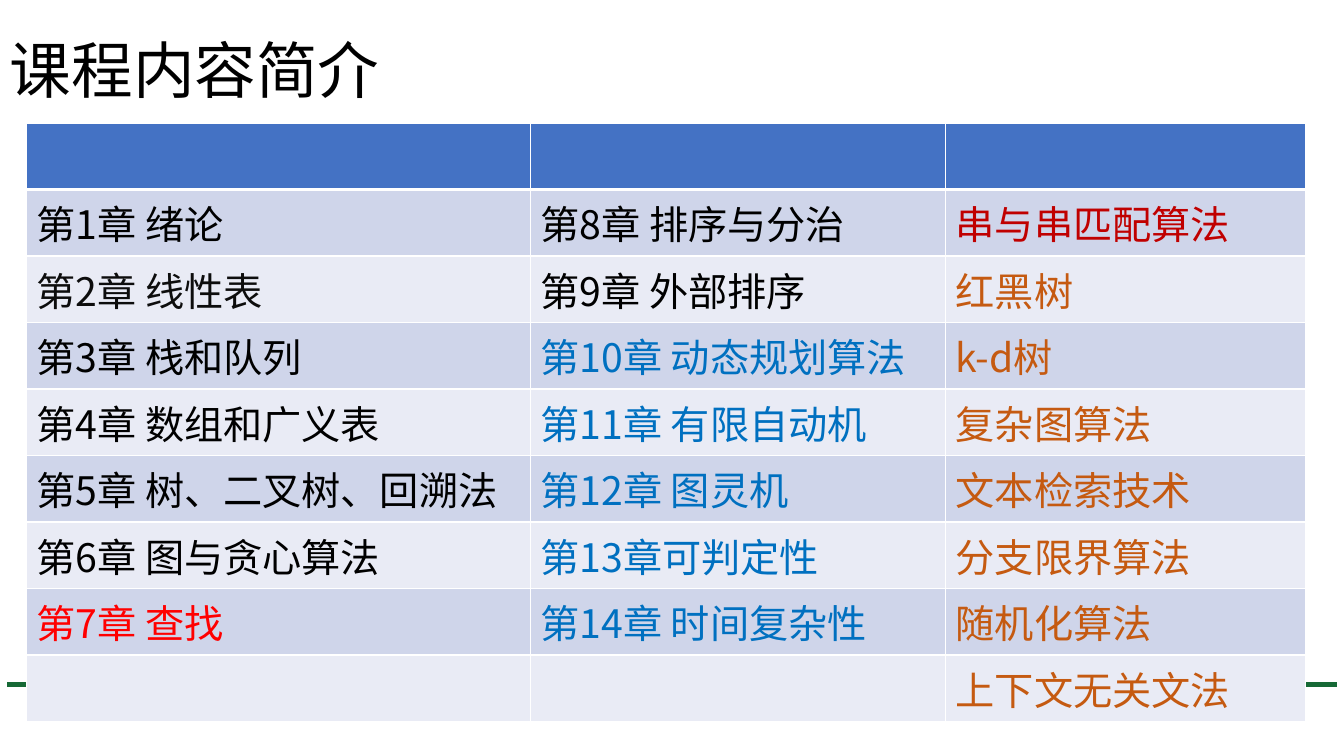
from dataclasses import dataclass

from lxml.etree import SubElement
from pptx import Presentation
from pptx.dml.color import RGBColor
from pptx.enum.shapes import MSO_CONNECTOR as Connector
from pptx.enum.text import MSO_ANCHOR as Anchor
from pptx.oxml.ns import qn
from pptx.util import Inches, Pt

FONT = "Noto Sans CJK SC"
WHITE = RGBColor(0xFF, 0xFF, 0xFF)
BLACK = RGBColor(0x00, 0x00, 0x00)
NEAR_BLACK = RGBColor(0x0D, 0x0D, 0x0D)
RED = RGBColor(0xFF, 0x00, 0x00)
DARK_RED = RGBColor(0xC0, 0x00, 0x00)
BLUE = RGBColor(0x00, 0x70, 0xC0)
ORANGE = RGBColor(0xC5, 0x5A, 0x11)
GREEN = RGBColor(0x16, 0x69, 0x36)
HEADER_FILL = RGBColor(0x44, 0x72, 0xC4)
BAND_FILLS = (RGBColor(0xCF, 0xD5, 0xEA), RGBColor(0xE9, 0xEB, 0xF5))

ROW_COUNT = 9
ROW_HEIGHT = 0.66


@dataclass
class Topic:
    text: str
    color: RGBColor = BLACK


@dataclass
class Column:
    width: float
    topics: list[Topic]


COLUMNS = [
    Column(5, [
        Topic("第1章 绪论"),
        Topic("第2章 线性表", NEAR_BLACK),
        Topic("第3章 栈和队列"),
        Topic("第4章 数组和广义表"),
        Topic("第5章 树、二叉树、回溯法"),
        Topic("第6章 图与贪心算法"),
        Topic("第7章 查找", RED),
    ]),
    Column(4.12, [
        Topic("第8章 排序与分治"),
        Topic("第9章 外部排序"),
        Topic("第10章 动态规划算法", BLUE),
        Topic("第11章 有限自动机", BLUE),
        Topic("第12章 图灵机", BLUE),
        Topic("第13章可判定性", BLUE),
        Topic("第14章 时间复杂性", BLUE),
    ]),
    Column(3.57, [
        Topic("串与串匹配算法", DARK_RED),
        Topic("红黑树", ORANGE),
        Topic("k-d树", ORANGE),
        Topic("复杂图算法", ORANGE),
        Topic("文本检索技术", ORANGE),
        Topic("分支限界算法", ORANGE),
        Topic("随机化算法", ORANGE),
        Topic("上下文无关文法", ORANGE),
    ]),
]


def write_text(text_frame, text: str, size: float, color: RGBColor) -> None:
    text_frame.text = text
    font = text_frame.paragraphs[0].runs[0].font
    font.name = FONT
    font.size = Pt(size)
    font.color.rgb = color
    # East Asian text takes its typeface from a:ea
    SubElement(font._element, qn("a:ea"), typeface=FONT)


def add_footer_line(slide) -> None:
    line = slide.shapes.add_connector(
        Connector.STRAIGHT, Inches(0.07), Inches(6.79), Inches(13.26), Inches(6.79))
    line.line.color.rgb = GREEN
    line.line.width = Pt(3.75)
    SubElement(line._element.spPr, qn("a:effectLst"))


def add_title(slide, text: str) -> None:
    title = slide.shapes.add_textbox(0, 0, Inches(11.5), Inches(1.45))
    title.text_frame.word_wrap = True
    title.text_frame.vertical_anchor = Anchor.MIDDLE
    write_text(title.text_frame, text, 44, BLACK)
    title.text_frame.paragraphs[0].line_spacing = 0.9


def set_borders(cell, top: float, bottom: float) -> None:
    properties = cell._tc.get_or_add_tcPr()
    for side, width in (("L", 1), ("R", 1), ("T", top), ("B", bottom)):
        border = SubElement(properties, qn(f"a:ln{side}"), w=str(Pt(width)))
        fill = SubElement(border, qn("a:solidFill"))
        SubElement(fill, qn("a:srgbClr"), val=str(WHITE))


def fill_cell(cell, color: RGBColor) -> None:
    cell.fill.solid()
    cell.fill.fore_color.rgb = color
    cell.vertical_anchor = Anchor.MIDDLE


def add_course_table(slide, columns: list[Column]) -> None:
    width = sum(column.width for column in columns)
    table = slide.shapes.add_table(
        ROW_COUNT, len(columns), Inches(0.26), Inches(1.22),
        Inches(width), Inches(ROW_COUNT * ROW_HEIGHT)).table
    for column_index, column in enumerate(columns):
        table.columns[column_index].width = Inches(column.width)
        # Header and banded rows; a thick rule separates them
        for row_index in range(ROW_COUNT):
            cell = table.cell(row_index, column_index)
            set_borders(cell, top=3 if row_index == 1 else 1,
                        bottom=3 if row_index == 0 else 1)
            fill_cell(cell, BAND_FILLS[(row_index - 1) % 2] if row_index else HEADER_FILL)
        # Topics below the header
        for row_index, topic in enumerate(column.topics, start=1):
            cell = table.cell(row_index, column_index)
            write_text(cell.text_frame, topic.text, 28, topic.color)


def main() -> None:
    presentation = Presentation()
    presentation.slide_width = Inches(13.33)
    presentation.slide_height = Inches(7.5)
    slide = presentation.slides.add_slide(presentation.slide_layouts[6])
    add_footer_line(slide)
    add_title(slide, "课程内容简介")
    add_course_table(slide, COLUMNS)
    presentation.save("out.pptx")


if __name__ == "__main__":
    main()
